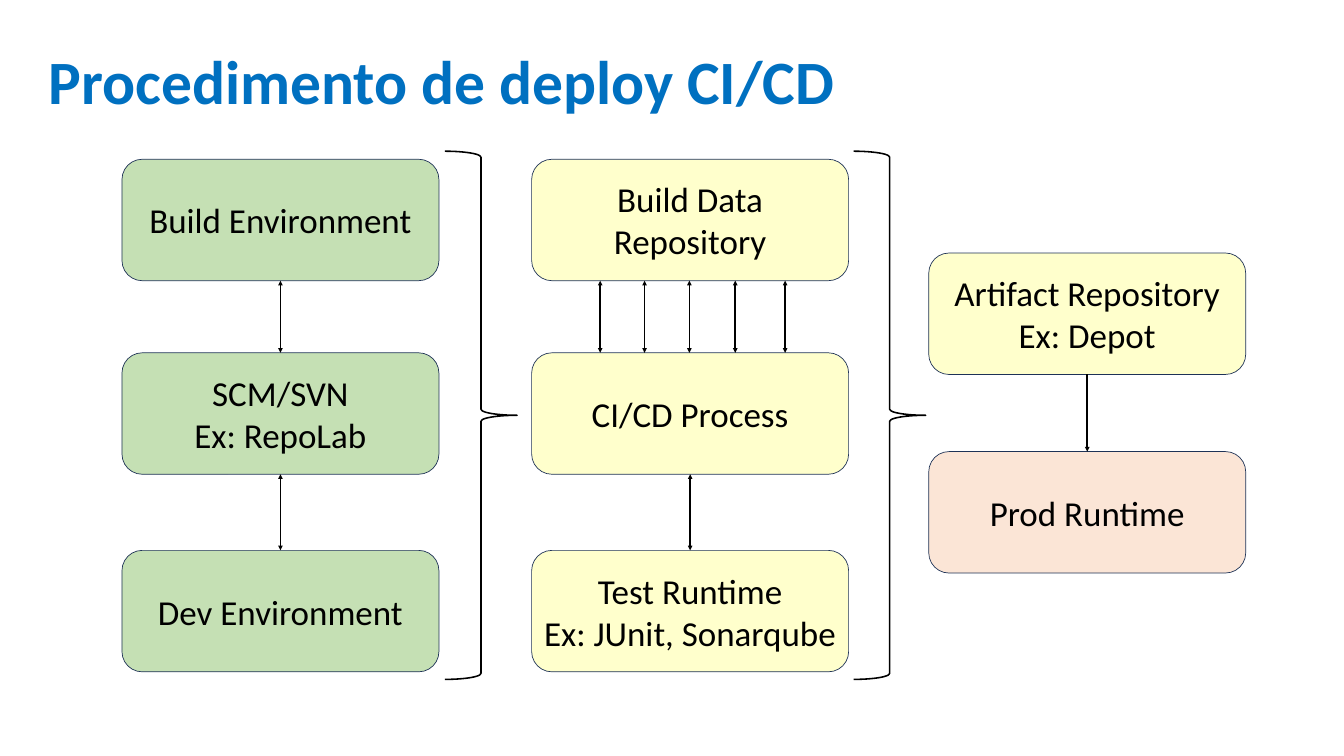
from dataclasses import dataclass

from lxml.etree import SubElement
from pptx import Presentation
from pptx.dml.color import RGBColor
from pptx.enum.shapes import MSO_CONNECTOR as Connector, MSO_SHAPE as Shape
from pptx.enum.text import MSO_ANCHOR as Anchor, PP_ALIGN as Align
from pptx.oxml.ns import qn
from pptx.util import Inches, Pt


@dataclass(frozen=True)
class Theme:
    font: str = "Calibri"
    title_size: int = 88
    box_size: int = 50
    title: str = "0070C0"
    ink: str = "000000"
    outline: str = "1E3256"
    green: str = "C5E0B4"
    yellow: str = "FFFFCC"
    peach: str = "FBE5D6"
    outline_width: float = 1
    line_width: float = 2.25


BOX_WIDTH, BOX_HEIGHT = 6.29, 2.41


def color(value):
    return RGBColor.from_string(value)


def write_text(frame, text, *, font, size, ink, bold=False, align=None, spacing=None):
    """Fill a text frame, one paragraph for each line of text."""
    frame.word_wrap = True
    frame.vertical_anchor = Anchor.MIDDLE
    frame.text = text
    for paragraph in frame.paragraphs:
        paragraph.alignment = align
        paragraph.line_spacing = spacing
        for run in paragraph.runs:
            run.font.name = font
            run.font.size = Pt(size)
            run.font.bold = bold
            run.font.color.rgb = color(ink)


class SlideBuilder:
    def __init__(self, slide, theme):
        self.slide = slide
        self.theme = theme

    def title(self, text, left, top, width, height):
        shape = self.slide.shapes.title
        shape.left, shape.top = Inches(left), Inches(top)
        shape.width, shape.height = Inches(width), Inches(height)
        write_text(shape.text_frame, text, font=self.theme.font,
                   size=self.theme.title_size, ink=self.theme.title,
                   bold=True, align=Align.LEFT, spacing=0.7)

    def shape(self, kind, left, top, width, height, line, line_width):
        shape = self.slide.shapes.add_shape(
            kind, Inches(left), Inches(top), Inches(width), Inches(height))
        shape.shadow.inherit = False
        shape.line.color.rgb = color(line)
        shape.line.width = Pt(line_width)
        return shape

    def box(self, text, left, top, fill):
        shape = self.shape(Shape.ROUNDED_RECTANGLE, left, top, BOX_WIDTH, BOX_HEIGHT,
                           self.theme.outline, self.theme.outline_width)
        shape.fill.solid()
        shape.fill.fore_color.rgb = color(fill)
        write_text(shape.text_frame, text, font=self.theme.font,
                   size=self.theme.box_size, ink=self.theme.ink, align=Align.CENTER)

    def brace(self, left, top, width, height):
        shape = self.shape(Shape.RIGHT_BRACE, left, top, width, height,
                           self.theme.ink, self.theme.line_width)
        shape.fill.background()

    def arrow(self, x, lower, upper, both=True):
        """Vertical arrow pointing down, and also up when both is set."""
        connector = self.slide.shapes.add_connector(
            Connector.STRAIGHT, Inches(x), Inches(lower), Inches(x), Inches(upper))
        connector.line.color.rgb = color(self.theme.ink)
        connector.line.width = Pt(self.theme.line_width)
        line = connector.line._ln
        for end in ("a:headEnd", "a:tailEnd") if both else ("a:headEnd",):
            SubElement(line, qn(end), type="triangle")
        SubElement(connector._element.spPr, qn("a:effectLst"))


def main():
    presentation = Presentation()
    presentation.slide_width, presentation.slide_height = Inches(26.67), Inches(15)
    slide = presentation.slides.add_slide(presentation.slide_layouts[5])
    theme = Theme()
    builder = SlideBuilder(slide, theme)

    builder.title("Procedimento de deploy CI/CD", 0.86, 0.52, 23.14, 2.48)

    # Columns of boxes: left edge, then text, top and fill of each box
    main_tops = (3.16, 7, 10.92)
    output_tops = (5.02, 8.96)
    source_left, process_left, output_left = 2.42, 10.55, 18.43
    columns = (
        (source_left, main_tops,
         ("Build Environment", "SCM/SVN\nEx: RepoLab", "Dev Environment"),
         (theme.green,) * 3),
        (process_left, main_tops,
         ("Build Data Repository", "CI/CD Process", "Test Runtime\nEx: JUnit, Sonarqube"),
         (theme.yellow,) * 3),
        (output_left, output_tops,
         ("Artifact Repository\nEx: Depot", "Prod Runtime"),
         (theme.yellow, theme.peach)),
    )
    for left, tops, texts, fills in columns:
        for top, text, fill in zip(tops, texts, fills):
            builder.box(text, left, top, fill)

    # Braces that lead from one column to the next
    for left in (8.83, 16.94):
        builder.brace(left, 3, 1.43, 10.48)

    # Arrows in the gaps between boxes
    source_x, process_x, output_x = (
        left + BOX_WIDTH / 2 for left in (source_left, process_left, output_left))
    first_top, middle_top, last_top = main_tops
    first_bottom, middle_bottom = first_top + BOX_HEIGHT, middle_top + BOX_HEIGHT
    for x in (source_x, 11.91, 12.79, 13.68, 14.59, 15.58):
        builder.arrow(x, middle_top, first_bottom)
    for x in (source_x, process_x):
        builder.arrow(x, last_top, middle_bottom)
    builder.arrow(output_x, output_tops[1], output_tops[0] + BOX_HEIGHT, both=False)

    presentation.save("out.pptx")


if __name__ == "__main__":
    main()
